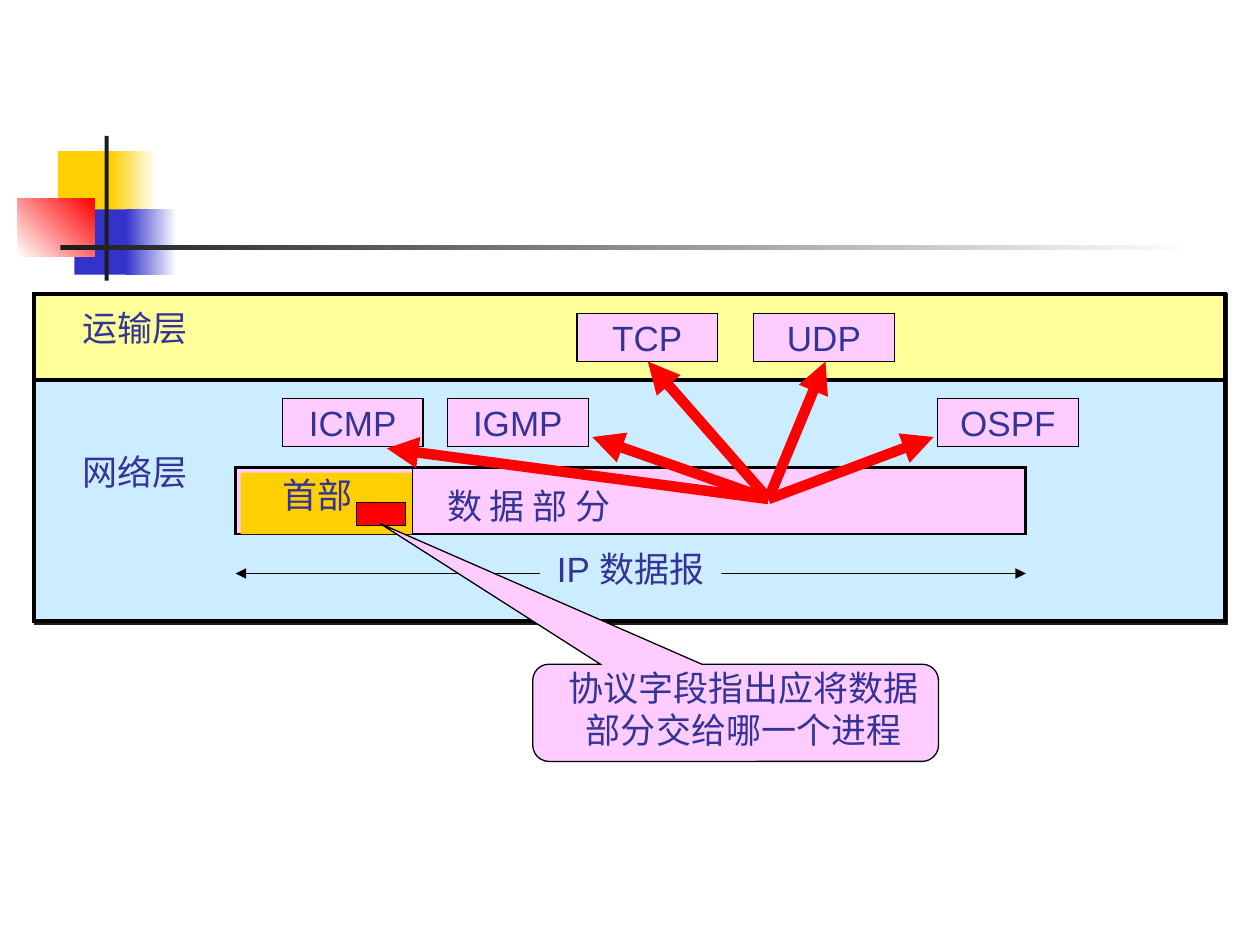
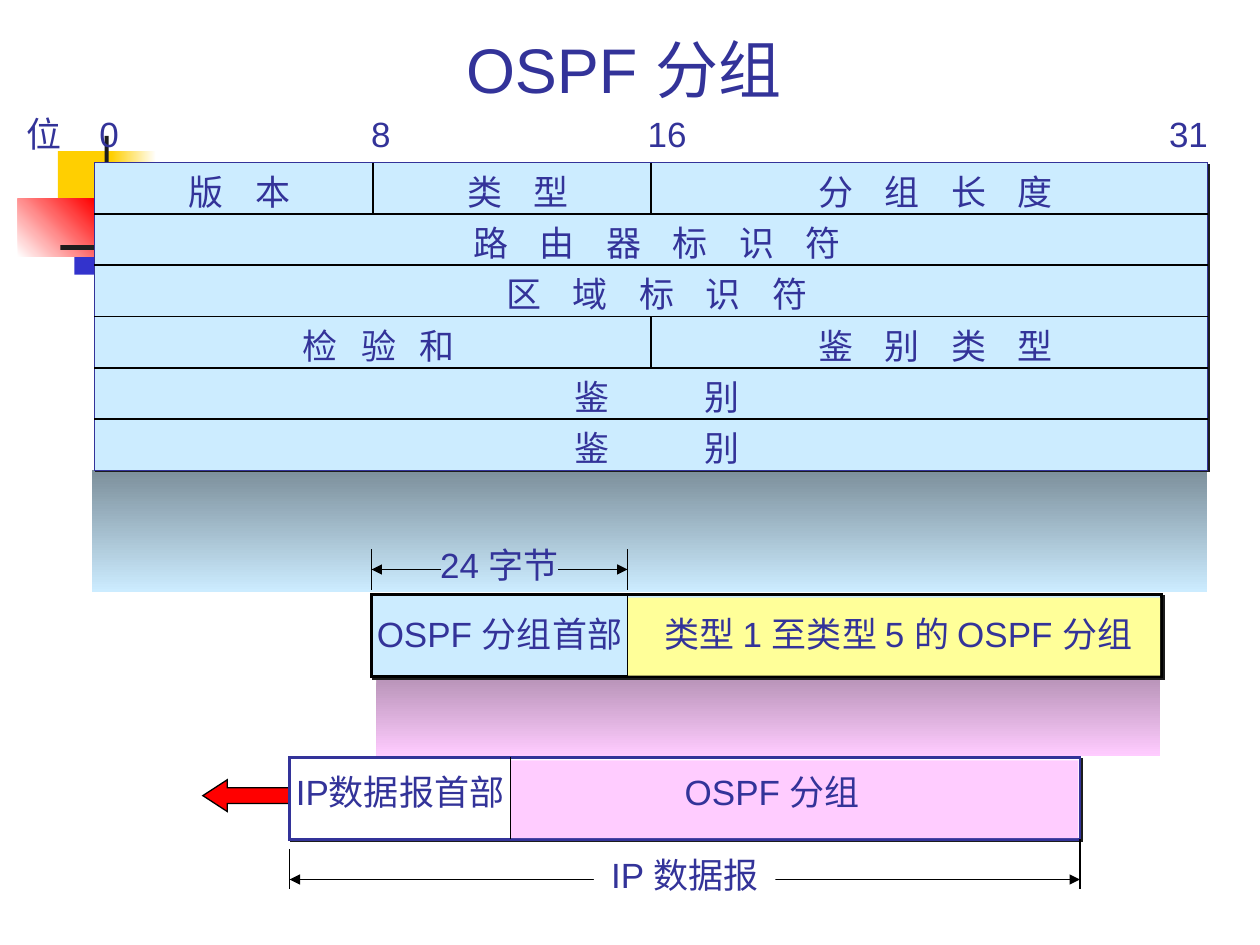
from lxml import etree
from pptx import Presentation
from pptx.dml.color import RGBColor
from pptx.enum.shapes import MSO_CONNECTOR, MSO_SHAPE
from pptx.enum.text import MSO_ANCHOR, PP_ALIGN
from pptx.oxml.ns import qn
from pptx.util import Cm, Pt

FONT = "Arial"
NAVY, BLACK, WHITE, DARK = "333399", "000000", "FFFFFF", "1C1C1C"
GOLD, BLUE, RED = "FFCF01", "3333CC", "FF0000"
YELLOW, SKY, PINK = "FFFF99", "CCECFF", "FFCCFF"
LABEL_HEIGHT = 1.12


def color(hex_string):
    return RGBColor.from_string(hex_string)


def write(shape, text, size=20, anchor=MSO_ANCHOR.MIDDLE, spaces=1):
    """Centre the text; spaces is how many blanks wide the gap between characters looks."""
    frame = shape.text_frame
    frame.word_wrap = False
    frame.vertical_anchor = anchor
    frame.margin_left = frame.margin_right = frame.margin_top = frame.margin_bottom = 0
    for index, line in enumerate(text.split("\n")):
        paragraph = frame.paragraphs[0] if index == 0 else frame.add_paragraph()
        paragraph.alignment = PP_ALIGN.CENTER
        paragraph.font.size = Pt(size)
        paragraph.font.name = FONT
        paragraph.font.color.rgb = color(NAVY)
        if spaces == 1:
            paragraph.add_run().text = line
            continue
        spread = paragraph.add_run()
        spread.text = line[:-1]
        spread._r.get_or_add_rPr().set("spc", str((spaces - 1) * 225))
        paragraph.add_run().text = line[-1]


def add_label(slide, text, left, top, width, height=LABEL_HEIGHT, **style):
    box = slide.shapes.add_textbox(Cm(left), Cm(top), Cm(width), Cm(height))
    write(box, text, **style)


def add_box(slide, left, top, width, height, fill, line=None, line_width=0.75,
            shadow=False, kind=MSO_SHAPE.RECTANGLE):
    shape = slide.shapes.add_shape(kind, Cm(left), Cm(top), Cm(width), Cm(height))
    shape.shadow.inherit = False
    shape.fill.solid()
    shape.fill.fore_color.rgb = color(fill)
    if line:
        shape.line.color.rgb = color(line)
        shape.line.width = Pt(line_width)
        etree.SubElement(shape.line._get_or_add_ln(), qn("a:miter"), lim="800000")
    else:
        shape.line.fill.background()
    if shadow:
        effects = shape._element.spPr.find(qn("a:effectLst"))
        outer = etree.SubElement(effects, qn("a:outerShdw"), dist=str(Pt(1.4)),
                                 dir="2700000", algn="ctr", rotWithShape="0")
        etree.SubElement(outer, qn("a:srgbClr"), val=DARK)
    return shape


def add_gradient(slide, left, top, width, height, start, end, angle=0):
    """Angle runs counter-clockwise, in degrees."""
    shape = add_box(slide, left, top, width, height, start)
    shape.fill.gradient()
    shape.fill.gradient_angle = angle
    for stop, stop_color in zip(shape.fill.gradient_stops, (start, end)):
        stop.color.rgb = color(stop_color)


def add_line(slide, x1, y1, x2, y2, line=BLACK, width=0.75, ends=()):
    connector = slide.shapes.add_connector(
        MSO_CONNECTOR.STRAIGHT, Cm(x1), Cm(y1), Cm(x2), Cm(y2))
    connector.line.color.rgb = color(line)
    connector.line.width = Pt(width)
    outline = connector.line._get_or_add_ln()
    for end in ends:
        etree.SubElement(outline, qn(f"a:{end}"), type="triangle")
    etree.SubElement(connector._element.spPr, qn("a:effectLst"))


def draw_ornament(slide, left=0.36, top=2.74):
    square = 1.32
    add_box(slide, left + 0.81, top + 0.31, 1.22, square, GOLD)
    add_gradient(slide, left + 1.88, top + 0.31, 0.91, square, GOLD, WHITE)
    add_box(slide, left + 1.14, top + 1.48, 1.17, square, BLUE)
    add_gradient(slide, left + 2.18, top + 1.48, 1.02, square, BLUE, WHITE)
    add_gradient(slide, left, top + 1.27, 1.55, 1.17, WHITE, RED, angle=45)
    add_box(slide, left + 1.75, top, 0.08, 2.92, DARK)
    add_gradient(slide, left + 0.86, top + 2.2, 22.86, 0.1, DARK, WHITE)


def draw_measure(slide, left, y, width, text, gap, fill=None):
    """Dimension arrows with a centred label; a filled label covers a single line."""
    right = left + width
    gap_left = left + (width - gap) / 2
    label_top = y - 0.1 - LABEL_HEIGHT / 2
    if fill:
        add_line(slide, left, y, right, y, ends=("headEnd", "tailEnd"))
        write(add_box(slide, gap_left, label_top, gap, LABEL_HEIGHT, fill), text)
    else:
        add_line(slide, gap_left, y, left, y, ends=("tailEnd",))
        add_line(slide, gap_left + gap, y, right, y, ends=("tailEnd",))
        add_label(slide, text, left, label_top, width)


def draw_layers(slide, left, top, width):
    transport_height, network_height = 1.75, 4.85
    add_box(slide, left, top, width, transport_height, YELLOW, BLACK, 2.25, shadow=True)
    add_box(slide, left, top + transport_height, width, network_height, SKY, BLACK, 2.25,
            shadow=True)
    for name, offset in (("运输层", 0.13), ("网络层", 3.02)):
        add_label(slide, name, left + 0.73, top + offset, 2.62)
    protocols = (("TCP", 10.94, 0.4), ("UDP", 14.5, 0.4),
                 ("ICMP", 5, 2.11), ("IGMP", 8.33, 2.11), ("OSPF", 18.21, 2.11))
    for name, x, y in protocols:
        write(add_box(slide, left + x, top + y, 2.84, 0.97, PINK, BLACK), name)


def draw_datagram(slide, left, top, width, height):
    header_width = 3.56
    add_box(slide, left, top, width, height, PINK, BLACK, 1.5)
    add_box(slide, left + 0.1, top + 0.11, header_width - 0.1, height - 0.11, GOLD)
    add_line(slide, left + header_width, top, left + header_width, top + height)
    add_label(slide, "首部", left + 0.71, top - 0.02, 1.9)
    add_label(slide, "数 据 部 分", left + 4.01, top + 0.21, 3.81)
    add_box(slide, left + 2.44, top + 0.71, 0.99, 0.46, RED, BLACK)
    draw_measure(slide, left, top + 2.14, width, "IP 数据报", 3.66, SKY)


def draw_delivery_arrows(slide, x, y):
    targets = ((1.15, -2.77), (-2.43, -2.77), (-3.55, -1.25), (-7.69, -1.02), (3.33, -1.25))
    for across, down in targets:
        add_line(slide, x, y, x + across, y + down, RED, 6, ends=("tailEnd",))


def draw_callout(slide, left, top, width, height):
    callout = add_box(slide, left, top, width, height, PINK, BLACK,
                      kind=MSO_SHAPE.ROUNDED_RECTANGULAR_CALLOUT)
    for index, value in enumerate((-0.876, -1.946, 0.167)):
        callout.adjustments[index] = value
    write(callout, "协议字段指出应将数据\n部分交给哪一个进程")
    callout.text_frame.word_wrap = True
    callout.text_frame.margin_left = Cm(0.33)
    callout.text_frame.margin_bottom = Cm(0.16)


def draw_split_bar(slide, left, top, split, texts, fills, line, body_shift=0, text_rise=0):
    """Bar of a header and a body; body_shift moves the body text, text_rise lifts both."""
    width, height = 15.93, 1.65
    add_box(slide, left, top, width, height, fills[0], line, 1.5, shadow=True)
    add_box(slide, left + split, top + 0.06, width - split - 0.03, height - 0.08, fills[1])
    add_line(slide, left + split, top, left + split, top + height)
    spare = 0.3
    add_label(slide, texts[0], left - spare, top - text_rise, split + 2 * spare, height)
    add_label(slide, texts[1], left + split + body_shift, top - text_rise, width - split, height)


def draw_packet_header(slide, left, top, width, height):
    rows = (
        (("版 本", 8, 4), ("类 型", 8, 4), ("分 组 长 度", 16, 4)),
        (("路 由 器 标 识 符", 32, 4),),
        (("区 域 标 识 符", 32, 4),),
        (("检 验 和", 16, 3), ("鉴 别 类 型", 16, 4)),
        (("鉴 别", 32, 12),),
        (("鉴 别", 32, 12),),
    )
    row_height = height / len(rows)
    text_shift, text_drop = 0.12, 0.06
    add_box(slide, left, top, width, height, SKY, NAVY, shadow=True)
    for index, fields in enumerate(rows):
        row_top = top + index * row_height
        if index:
            add_line(slide, left, row_top, left + width, row_top, width=1)
        x = left
        for text, bits, spaces in fields:
            field_width = width * bits / 32
            if x > left:
                add_line(slide, x, row_top, x, row_top + row_height, width=1)
            add_label(slide, text, x + text_shift, row_top + text_drop, field_width,
                      row_height, spaces=spaces)
            x += field_width
    ticks = (("位", -1.01), ("0", 0.3), ("8", 5.78), ("16", 11.55), ("31", 22.06))
    for text, centre in ticks:
        add_label(slide, text, left + centre - 0.65, top - 1.13, 1.3, 1.1)


def build_protocol_slide(slide):
    draw_ornament(slide)
    draw_layers(slide, 0.69, 5.92, 24)
    draw_datagram(slide, 4.75, 9.42, 15.93, 1.35)
    draw_delivery_arrows(slide, 15.49, 10.06)
    draw_callout(slide, 10.74, 13.39, 8.18, 1.96)


def build_packet_slide(slide):
    draw_ornament(slide)
    add_label(slide, "OSPF 分组", 1.75, 0.33, 21.64, 1.8, size=36, anchor=MSO_ANCHOR.BOTTOM)
    add_gradient(slide, 1.85, 9.47, 22.48, 2.46, "7C8F9B", SKY, angle=270)
    add_gradient(slide, 7.59, 13.67, 15.8, 1.57, "B994B9", PINK, angle=270)

    arrow = add_box(slide, 4.09, 15.72, 1.96, 0.64, RED, BLACK, kind=MSO_SHAPE.LEFT_ARROW)
    arrow.adjustments[1] = 0.77
    draw_measure(slide, 5.84, 17.73, 15.93, "IP 数据报", 3.66, WHITE)
    draw_split_bar(slide, 5.84, 15.27, 4.45, ("IP数据报首部", "OSPF 分组"),
                   (WHITE, PINK), NAVY, body_shift=-0.46, text_rise=0.13)
    draw_split_bar(slide, 7.49, 11.99, 5.16, ("OSPF 分组首部", "类型 1 至类型 5 的 OSPF 分组"),
                   (SKY, YELLOW), BLACK, body_shift=0.08, text_rise=0.04)
    draw_measure(slide, 7.49, 11.48, 5.16, "24 字节", 2.37)
    for x, top, bottom in ((5.84, 17.12, 17.93), (21.77, 16.92, 17.93),
                           (7.49, 11.07, 11.89), (12.65, 11.07, 11.89)):
        add_line(slide, x, top, x, bottom)
    draw_packet_header(slide, 1.9, 3.28, 22.45, 6.2)


def main():
    presentation = Presentation()
    presentation.slide_width, presentation.slide_height = Cm(25.4), Cm(19.05)
    blank = presentation.slide_layouts[6]
    for build in (build_protocol_slide, build_packet_slide):
        build(presentation.slides.add_slide(blank))
    presentation.save("out.pptx")


if __name__ == "__main__":
    main()
